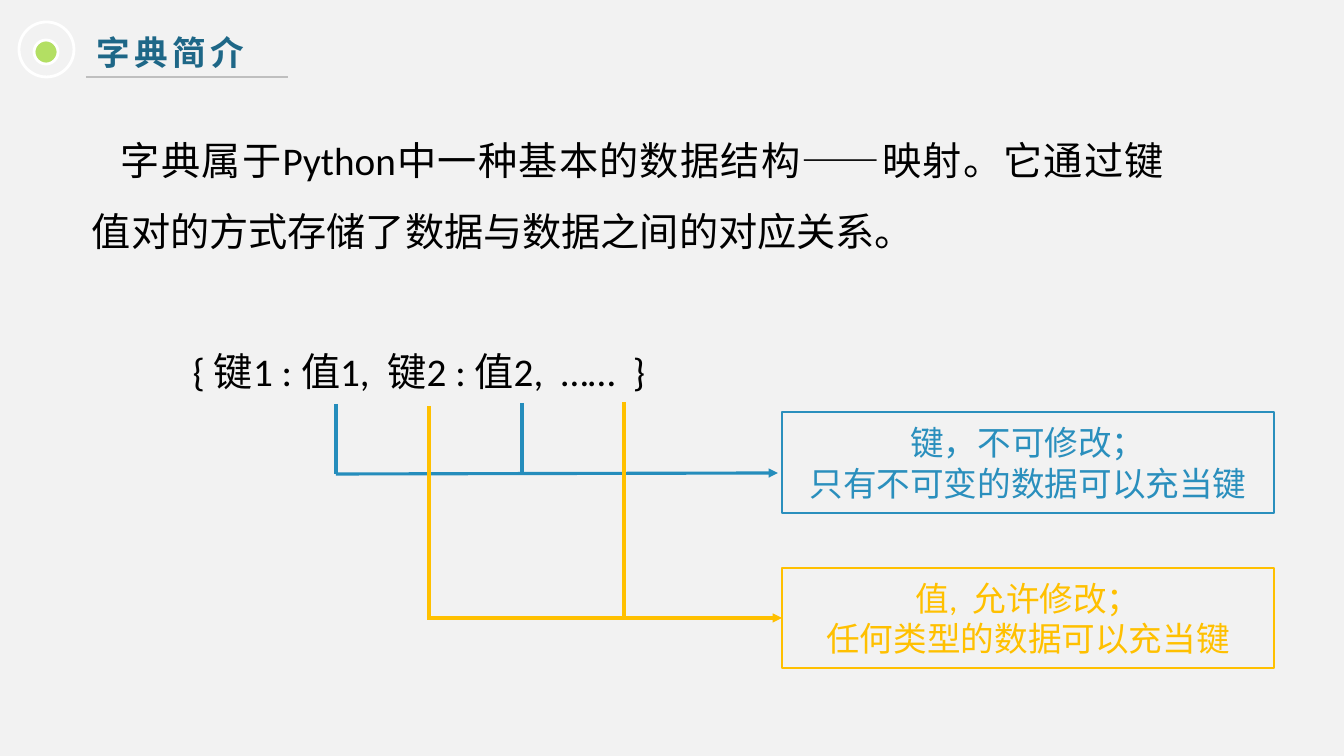
from dataclasses import dataclass

from lxml.etree import SubElement
from pptx import Presentation
from pptx.dml.color import RGBColor
from pptx.enum.shapes import MSO_CONNECTOR, MSO_SHAPE
from pptx.enum.text import MSO_ANCHOR, PP_ALIGN
from pptx.oxml.ns import qn
from pptx.shapes.autoshape import Shape
from pptx.shapes.connector import Connector
from pptx.slide import Slide
from pptx.text.text import _Paragraph
from pptx.util import Emu, Pt

PX = 9071
BACKGROUND = RGBColor(0xF2, 0xF2, 0xF2)
WHITE = RGBColor(0xFF, 0xFF, 0xFF)
BLACK = RGBColor(0, 0, 0)
GREEN = RGBColor(0xB3, 0xDF, 0x63)
GREY = RGBColor(0xBF, 0xBF, 0xBF)
NAVY = RGBColor(0x1E, 0x67, 0x87)
KEY_LINE = RGBColor(0x25, 0x8D, 0xBC)
KEY_BLUE = RGBColor(0x2A, 0x8F, 0xBD)
VALUE_GOLD = RGBColor(0xFF, 0xC0, 0x00)
LATIN_FONT = "Calibri"
CHINESE_FONT = "Noto Sans CJK SC"


@dataclass(frozen=True)
class Area:
    left: int
    top: int
    width: int
    height: int

    def emu(self) -> tuple[Emu, ...]:
        return tuple(Emu(n * PX) for n in (self.left, self.top, self.width, self.height))


@dataclass(frozen=True)
class Ring:
    area: Area
    fill: RGBColor | None


@dataclass(frozen=True)
class Stroke:
    start: tuple[int, int]
    end: tuple[int, int]
    color: RGBColor
    width: float = 2.25
    arrow: bool = False
    target: str = ""


@dataclass(frozen=True)
class Note:
    name: str
    area: Area
    color: RGBColor
    lines: tuple[str, ...]


RINGS = (
    Ring(Area(34, 40, 24, 24), GREEN),
    Ring(Area(19, 22, 55, 55), None),
)
NOTES = (
    Note("键", Area(782, 412, 492, 101), KEY_BLUE,
         ("键，不可修改；", "只有不可变的数据可以充当键")),
    Note("值", Area(782, 568, 492, 100), VALUE_GOLD,
         ("值,  允许修改；", "任何类型的数据可以充当键")),
)
STROKES = (
    Stroke((86, 77), (288, 77), GREY, 0.75),
    Stroke((336, 404), (336, 474), KEY_LINE),
    Stroke((522, 403), (522, 473), KEY_LINE),
    Stroke((336, 474), (778, 473), KEY_LINE, arrow=True),
    Stroke((429, 406), (429, 618), VALUE_GOLD),
    Stroke((624, 402), (624, 616), VALUE_GOLD),
    Stroke((427, 618), (782, 618), VALUE_GOLD, arrow=True, target="值"),
)
BODY = (
    "字典属于Python中一种基本的数据结构——映射。它通过键值对的方式存储了数据与数据之间的对应关系。",
    "\t\t{ 键1 : 值1,  键2 : 值2,  ……  }",
)


def style_paragraph(para: _Paragraph, size: int, color: RGBColor, name: str = LATIN_FONT) -> None:
    """Set the font of a whole paragraph, with the Chinese face beside the Latin one."""
    para.font.size = Pt(size)
    para.font.color.rgb = color
    para.font.name = name
    defaults = para._p.pPr.find(qn("a:defRPr"))
    SubElement(defaults, qn("a:ea")).set("typeface", CHINESE_FONT)


def add_ring(page: Slide, ring: Ring) -> None:
    """Draw one white-edged circle of the title mark."""
    circle = page.shapes.add_shape(MSO_SHAPE.OVAL, *ring.area.emu())
    circle.shadow.inherit = False
    circle.line.color.rgb = WHITE
    circle.line.width = Pt(2)
    if ring.fill is None:
        circle.fill.background()
    else:
        circle.fill.solid()
        circle.fill.fore_color.rgb = ring.fill


def add_title(page: Slide) -> None:
    """Write the letter-spaced slide title."""
    box = page.shapes.add_textbox(*Area(87, 27, 650, 50).emu())
    box.text_frame.word_wrap = True
    para = box.text_frame.paragraphs[0]
    para.text = "字典简介"
    style_paragraph(para, 24, NAVY, CHINESE_FONT)
    para.font.bold = True
    para._p.pPr.find(qn("a:defRPr")).set("spc", "300")


def add_body(page: Slide) -> None:
    """Write the explanation and the dictionary pattern below it."""
    box = page.shapes.add_textbox(*Area(82, 108, 1092, 571).emu())
    frame = box.text_frame
    frame.word_wrap = True
    frame.text = "\n".join(BODY)
    for para in frame.paragraphs:
        para.alignment = PP_ALIGN.JUSTIFY
        para.line_spacing = 1.5
        style_paragraph(para, 28, BLACK)
        para._p.pPr.set("indent", str(29 * PX))
    frame.paragraphs[-1].space_before = Pt(50)


def add_note(page: Slide, note: Note) -> Shape:
    """Draw an outlined box with centred lines."""
    box = page.shapes.add_shape(MSO_SHAPE.RECTANGLE, *note.area.emu())
    box.shadow.inherit = False
    box.fill.background()
    box.line.color.rgb = note.color
    box.line.width = Pt(2)
    frame = box.text_frame
    frame.word_wrap = True
    frame.vertical_anchor = MSO_ANCHOR.MIDDLE
    frame.text = "\n".join(note.lines)
    for para in frame.paragraphs:
        para.alignment = PP_ALIGN.CENTER
        style_paragraph(para, 24, note.color)
    return box


def add_stroke(page: Slide, stroke: Stroke) -> Connector:
    """Draw a straight line, with an arrowhead where asked."""
    ends = (Emu(n * PX) for n in stroke.start + stroke.end)
    line = page.shapes.add_connector(MSO_CONNECTOR.STRAIGHT, *ends)
    line.line.color.rgb = stroke.color
    line.line.width = Pt(stroke.width)
    if stroke.arrow:
        SubElement(line.line._get_or_add_ln(), qn("a:tailEnd")).set("type", "triangle")
    SubElement(line._element.spPr, qn("a:effectLst"))
    return line


def main() -> None:
    """Build the slide and save it."""
    deck = Presentation()
    deck.slide_width, deck.slide_height = Emu(1344 * PX), Emu(756 * PX)
    page = deck.slides.add_slide(deck.slide_layouts[6])
    page.background.fill.solid()
    page.background.fill.fore_color.rgb = BACKGROUND
    add_title(page)
    for ring in RINGS:
        add_ring(page, ring)
    add_body(page)
    boxes = {note.name: add_note(page, note) for note in NOTES}
    for stroke in STROKES:
        line = add_stroke(page, stroke)
        if stroke.target:
            line.end_connect(boxes[stroke.target], 1)
    deck.save("out.pptx")


if __name__ == "__main__":
    main()
